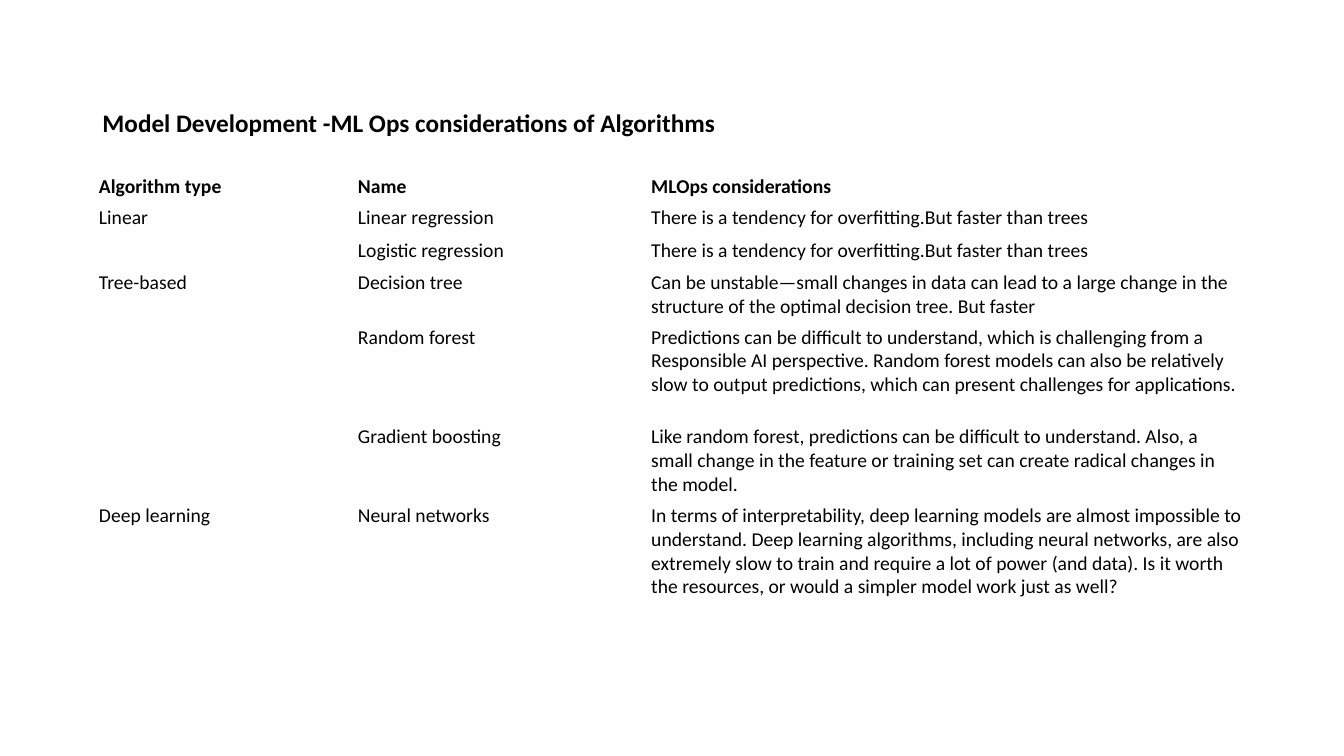
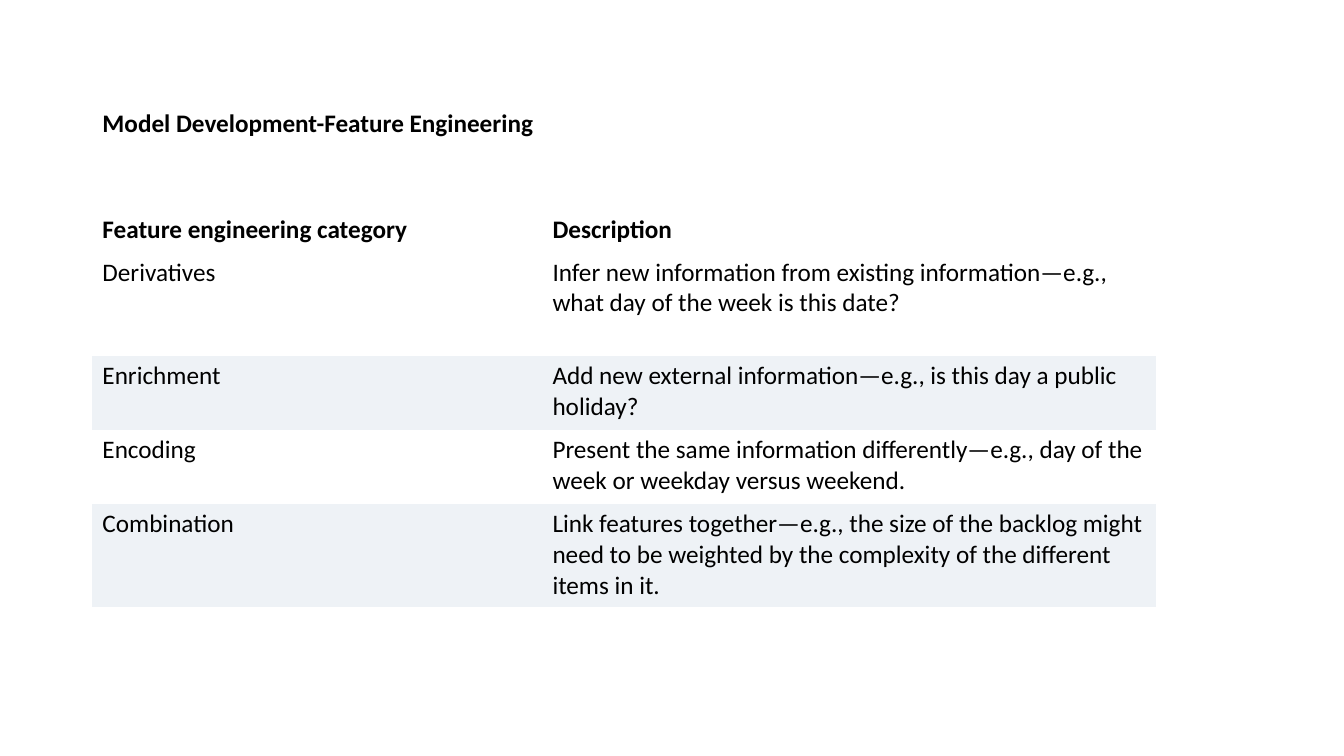
from lxml.etree import SubElement
from pptx import Presentation
from pptx.dml.color import RGBColor
from pptx.enum.text import MSO_ANCHOR, MSO_AUTO_SIZE, PP_ALIGN
from pptx.oxml.ns import qn
from pptx.util import Pt

BLACK = "000000"
BAND = "EEF2F6"
FONT = "Calibri"
TITLE_SIZE = 18
PLAIN_TABLE_STYLE = "{2D5ABB26-0587-4C30-8999-92F81FD0307C}"

ALGORITHM_ROWS = [
    ("Algorithm type", "Name", "MLOps considerations"),
    ("Linear", "Linear regression",
     "There is\u00a0a tendency for overfitting.But faster than trees"),
    ("", "Logistic regression",
     "There is a tendency for overfitting.But faster than trees"),
    ("Tree-based", "Decision tree",
     "Can be unstable—small changes in data can lead to a large change in the "
     "structure of the optimal decision tree. But faster"),
    ("", "Random forest",
     "Predictions\u00a0can be difficult to understand, which is challenging from a "
     "Responsible AI perspective. Random forest models can also be relatively "
     "slow to output predictions, which can present challenges for applications."),
    ("", "Gradient boosting",
     "Like random forest, predictions can be difficult to understand. Also, a "
     "small change in the feature or training set can create radical changes in "
     "the model."),
    ("Deep learning", "Neural networks",
     "In terms of interpretability, deep learning models are almost impossible to "
     "understand.\u00a0Deep learning algorithms, including neural networks, are\u00a0also "
     "extremely slow to train and require a lot of power (and data). Is it worth "
     "the resources, or would a simpler model work just as well?"),
]

FEATURE_ROWS = [
    ("Feature engineering category", "Description"),
    ("Derivatives",
     "Infer new information from existing information—e.g., what day of the "
     "week is this date?"),
    ("Enrichment",
     "Add new external information—e.g., is this day a public holiday?"),
    ("Encoding",
     "Present the same information differently—e.g., day of the week or "
     "weekday versus weekend."),
    ("Combination",
     "Link features together—e.g., the size of the backlog might need to be "
     "weighted by the complexity of the different items in it."),
]


def color(hex_string):
    return RGBColor.from_string(hex_string)


class Deck:
    """Holds the shared style and the slide being filled."""

    def __init__(self):
        self.presentation = Presentation()
        self.presentation.slide_width = Pt(960)
        self.presentation.slide_height = Pt(540)
        self.slide = None

    def add_slide(self, title):
        layout = self.presentation.slide_layouts.get_by_name("Title Only")
        self.slide = self.presentation.slides.add_slide(layout)
        shape = self.slide.shapes.title
        shape.left, shape.top = Pt(66), Pt(44)
        shape.width, shape.height = Pt(828), Pt(89)
        frame = shape.text_frame
        frame.auto_size = MSO_AUTO_SIZE.NONE
        frame.vertical_anchor = MSO_ANCHOR.MIDDLE
        paragraph = frame.paragraphs[0]
        paragraph.alignment = PP_ALIGN.LEFT
        paragraph.line_spacing = 0.9
        self.add_run(paragraph, title, TITLE_SIZE, True)

    def add_run(self, paragraph, text, size, bold):
        run = paragraph.add_run()
        run.text = text
        run.font.name = FONT
        run.font.size = Pt(size)
        run.font.bold = bold
        run.font.color.rgb = color(BLACK)

    def add_table(self, left, top, widths, heights, rows, size, inset,
                  banded=False, merges=()):
        """Inset is the side margin; merges lists pairs of (row, column) corners."""
        frame = self.slide.shapes.add_table(
            len(rows), len(widths), Pt(left), Pt(top),
            Pt(sum(widths)), Pt(sum(heights)))
        table = frame.table
        table.horz_banding = False
        table._tbl.tblPr.find(qn("a:tableStyleId")).text = PLAIN_TABLE_STYLE
        for column, width in zip(table.columns, widths):
            column.width = Pt(width)
        for row, height in zip(table.rows, heights):
            row.height = Pt(height)
        for row_index, texts in enumerate(rows):
            header = row_index == 0
            shaded = banded and not header and row_index % 2 == 0
            for column_index, text in enumerate(texts):
                cell = table.cell(row_index, column_index)
                self.fill_cell(cell, text, size, inset, header, shaded)
        for first, last in merges:
            table.cell(*first).merge(table.cell(*last))

    def fill_cell(self, cell, text, size, inset, header, shaded):
        cell.margin_left = cell.margin_right = Pt(inset)
        cell.margin_top = cell.margin_bottom = Pt(inset / 2)
        cell.vertical_anchor = MSO_ANCHOR.MIDDLE if header else MSO_ANCHOR.TOP
        if shaded:
            cell.fill.solid()
            cell.fill.fore_color.rgb = color(BAND)
        else:
            cell.fill.background()
        paragraph = cell.text_frame.paragraphs[0]
        if text:
            self.add_run(paragraph, text, size, header)
        else:
            # An empty cell needs its own text size to keep its row low.
            SubElement(paragraph._p, qn("a:endParaRPr"), sz=str(size * 100))


def main():
    deck = Deck()

    deck.add_slide("Model Development -ML Ops considerations of Algorithms")
    deck.add_table(65.5, 121.7, [185, 209.5, 433.5],
                   [23, 23, 23, 39, 71, 55.5, 87], ALGORITHM_ROWS,
                   size=14, inset=5.2, merges=[((3, 0), (5, 0))])

    deck.add_slide("Model Development-Feature Engineering")
    deck.add_table(66, 148.5, [321.5, 438.5], [31.5, 74, 53, 53, 74],
                   FEATURE_ROWS, size=18, inset=7.2, banded=True)

    deck.presentation.save("out.pptx")


if __name__ == "__main__":
    main()
